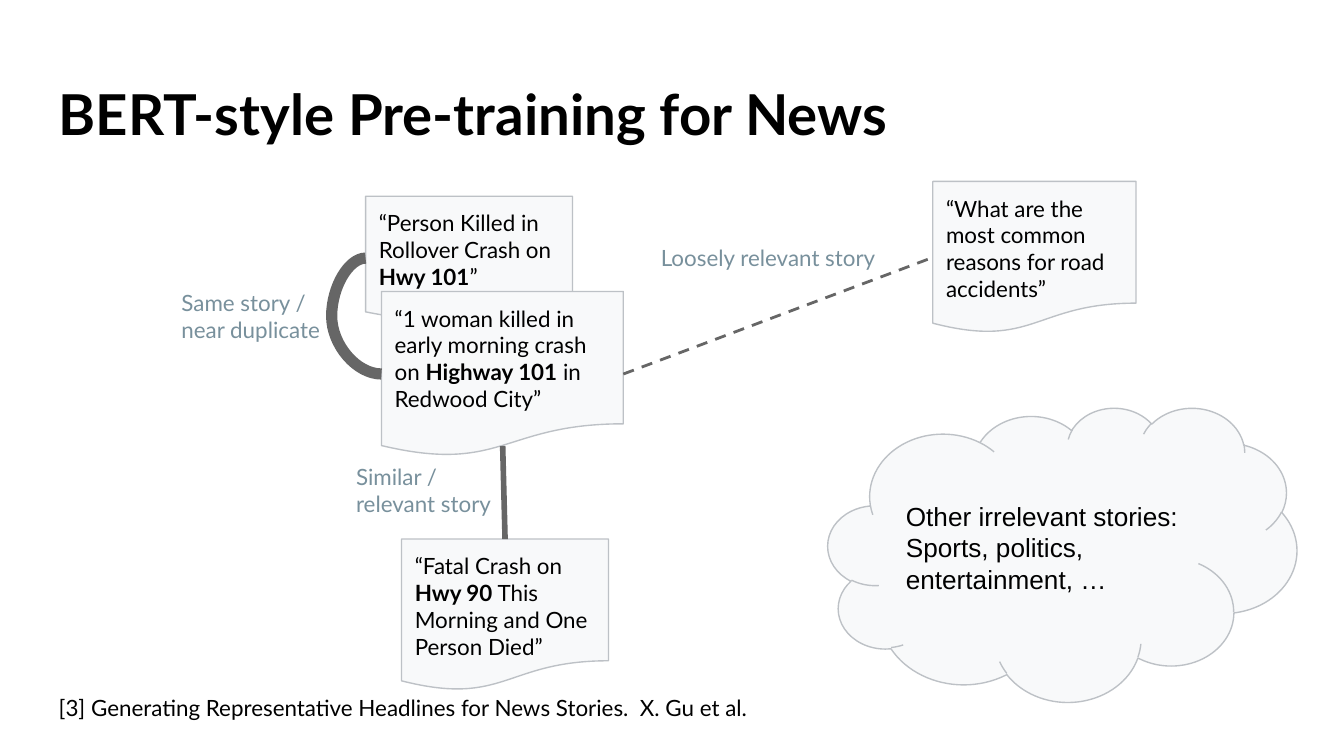
from lxml import etree
from pptx import Presentation
from pptx.dml.color import RGBColor
from pptx.enum.dml import MSO_LINE
from pptx.enum.shapes import MSO_CONNECTOR as Link, MSO_SHAPE as Shape
from pptx.enum.text import MSO_ANCHOR as Anchor, PP_ALIGN as Align
from pptx.oxml.ns import qn
from pptx.util import Cm, Pt


def color(hex_value):
    return RGBColor.from_string(hex_value)


def write(shape, paragraphs, size=12, ink="000000", font="Lato", anchor=Anchor.TOP):
    """Fill a shape with paragraphs, each a list of (text, bold) runs."""
    frame = shape.text_frame
    frame.word_wrap = True
    frame.vertical_anchor = anchor
    frame.margin_left = frame.margin_right = Cm(0.25)
    frame.margin_top = frame.margin_bottom = Cm(0.25)
    for i, pieces in enumerate(paragraphs):
        paragraph = frame.add_paragraph() if i else frame.paragraphs[0]
        paragraph.alignment = Align.LEFT
        for text, bold in pieces:
            run = paragraph.add_run()
            run.text = text
            run.font.name = font
            run.font.size = Pt(size)
            run.font.bold = bold
            run.font.color.rgb = color(ink)


prs = Presentation()
prs.slide_width, prs.slide_height = Cm(25.4), Cm(14.29)
shapes = prs.slides.add_slide(prs.slide_layouts[6]).shapes

# Title, relation labels and citation
labels = [
    ("BERT-style Pre-training for News", (0.86, 1.24, 23.67, 1.6), 30.2, "000000", True),
    ("Same story / near duplicate", (3.18, 5.21, 3.3, 1.14), 12, "78909C", False),
    ("Similar / relevant story", (6.48, 8.51, 3.51, 1.14), 12, "78909C", False),
    ("Loosely relevant story", (12.24, 4.37, 4.67, 1.14), 12, "78909C", False),
    ("[3] Generating Representative Headlines for News Stories.  X. Gu et al.",
     (0.86, 12.88, 18.47, 1.02), 12, "000000", False),
]
for text, box, size, ink, bold in labels:
    label = shapes.add_textbox(*map(Cm, box))
    write(label, [[(text, bold)]], size, ink)

# Headlines and the cloud of unrelated stories
headlines = {
    "person": ((6.91, 3.71, 3.91, 2.34),
               [("“Person Killed in Rollover Crash on ", False), ("Hwy 101", True), ("”", False)]),
    "woman": ((7.21, 5.51, 4.57, 3.12),
              [("“1 woman killed in early morning crash on ", False), ("Highway 101", True),
               (" in Redwood City”", False)]),
    "fatal": ((7.59, 10.19, 3.91, 2.87),
              [("“Fatal Crash on ", False), ("Hwy 90", True),
               (" This Morning and One Person Died”", False)]),
    "reasons": ((17.63, 3.43, 3.84, 2.87),
                [("“What are the most common reasons for road accidents”", False)]),
}
stories = {}
for name, (box, pieces) in headlines.items():
    stories[name] = shapes.add_shape(Shape.FLOWCHART_DOCUMENT, *map(Cm, box))
    write(stories[name], [pieces])

irrelevant = shapes.add_shape(Shape.CLOUD, Cm(15.65), Cm(7.7), Cm(8.86), Cm(5.56))
write(irrelevant,
      [[("Other irrelevant stories:", False)], [("Sports, politics, entertainment, …", False)]],
      14, font="Arial", anchor=Anchor.MIDDLE)

for story in [*stories.values(), irrelevant]:
    story.shadow.inherit = False
    story.fill.solid()
    story.fill.fore_color.rgb = color("F8F9FA")
    story.line.color.rgb = color("BDC1C6")
    story.line.width = Pt(0.75)

# Relations between headlines
duplicate = shapes.add_connector(Link.CURVE, Cm(6.91), Cm(4.88), Cm(7.21), Cm(7.07))
duplicate.begin_connect(stories["person"], 1)
duplicate.end_connect(stories["woman"], 1)
bends = duplicate._element.spPr.find(qn("a:prstGeom")).get_or_add_avLst()
etree.SubElement(bends, qn("a:gd"), name="adj1", fmla="val -213900")

# The wavy lower edge lies above the bottom of its frame, so this start is free
similar = shapes.add_connector(Link.STRAIGHT, Cm(9.5), Cm(8.43), Cm(9.55), Cm(10.19))
similar.end_connect(stories["fatal"], 0)

loose = shapes.add_connector(Link.STRAIGHT, Cm(11.78), Cm(7.07), Cm(17.63), Cm(4.87))
loose.begin_connect(stories["woman"], 3)
loose.end_connect(stories["reasons"], 1)
loose.line.dash_style = MSO_LINE.DASH

for relation, width in [(duplicate, 6), (similar, 3), (loose, 1.5)]:
    relation.line.color.rgb = color("666666")
    relation.line.width = Pt(width)
    etree.SubElement(relation._element.spPr, qn("a:effectLst"))

prs.save("out.pptx")
